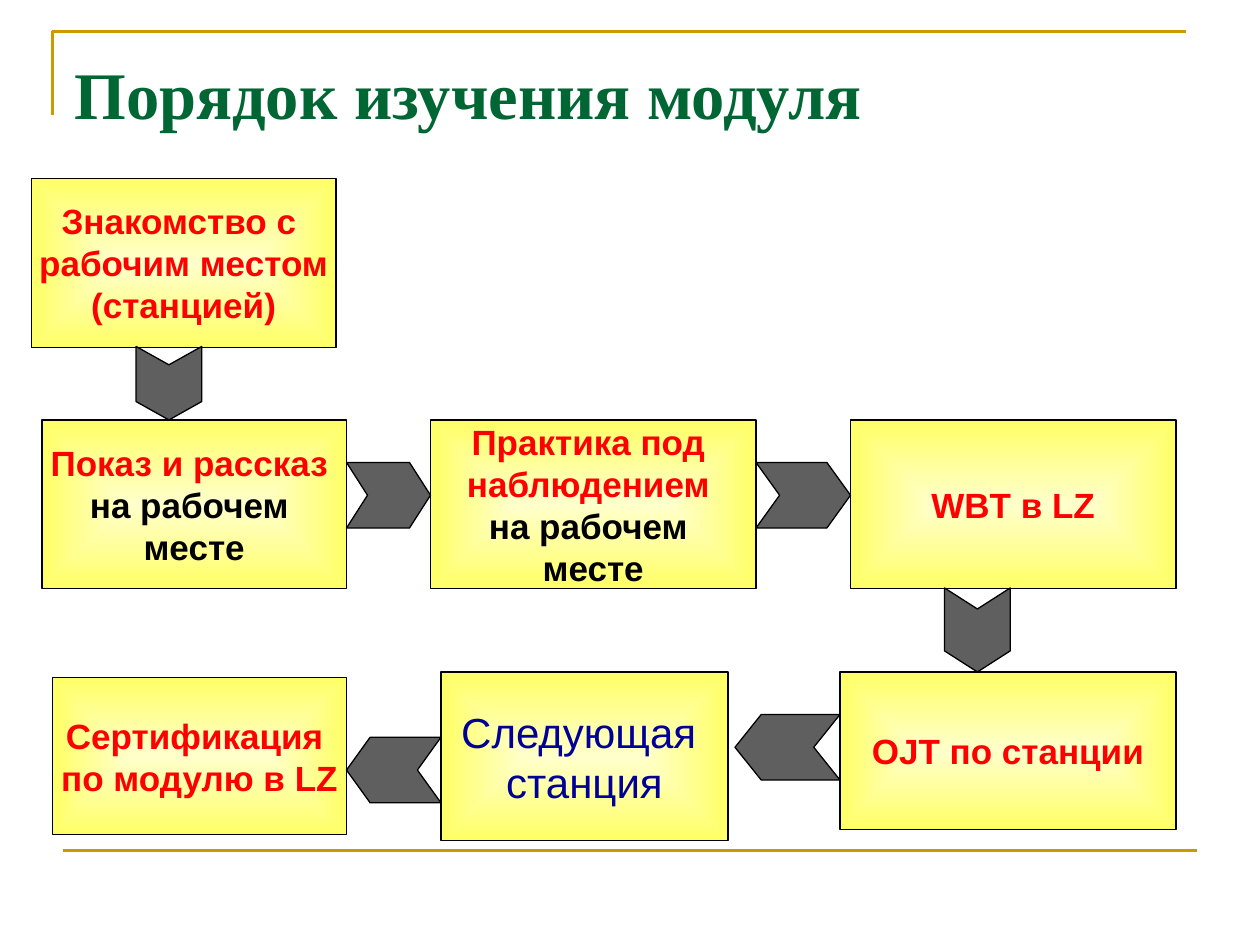
from lxml import etree
from pptx import Presentation
from pptx.dml.color import RGBColor
from pptx.enum import shapes, text
from pptx.oxml.ns import qn
from pptx.util import Pt

THEME = {
    "gold": RGBColor.from_string("CC9900"),
    "green": RGBColor.from_string("006633"),
    "red": RGBColor.from_string("FF0000"),
    "navy": RGBColor.from_string("000099"),
    "black": RGBColor.from_string("000000"),
    "grey": RGBColor.from_string("5F5F5F"),
    "core": RGBColor.from_string("FFFFCC"),
    "edge": RGBColor.from_string("FFFF66"),
    "head": 38, "step": 20, "next": 24,
    "serif": "Times New Roman", "sans": "Arial",
}


def style(font, name, size, color, bold):
    for key, val in {"name": name, "size": Pt(size), "bold": bold}.items():
        setattr(font, key, val)
    font.color.rgb = color


def add(kind, left, top, width, height):
    """Add a preset shape with a thin black outline and no shadow."""
    shape = slide.shapes.add_shape(kind, Pt(left), Pt(top), Pt(width), Pt(height))
    shape.shadow.inherit = False
    shape.line.color.rgb = THEME["black"]
    shape.line.width = Pt(0.75)
    return shape


deck = Presentation()
deck.slide_width, deck.slide_height = Pt(720), Pt(540)
slide = deck.slides.add_slide(deck.slide_layouts[5])

# Gold rules around the page
pen = slide.shapes.build_freeform(Pt(30), Pt(66))
pen.add_line_segments([(Pt(30), Pt(18)), (Pt(678), Pt(18))], close=False)
frame = pen.convert_to_shape()
frame.fill.background()
frame.shadow.inherit = False
rule = slide.shapes.add_connector(
    shapes.MSO_CONNECTOR.STRAIGHT, Pt(36), Pt(486), Pt(684), Pt(486))
etree.SubElement(rule._element.spPr, qn("a:effectLst"))
for item in (frame, rule):
    item.line.color.rgb = THEME["gold"]
    item.line.width = Pt(1.5)

# Title
title = slide.shapes.title
for key, val in {"left": 36, "top": 21.6, "width": 648, "height": 90}.items():
    setattr(title, key, Pt(val))
body = title.text_frame
body.text = "Порядок изучения модуля"
body.vertical_anchor = text.MSO_ANCHOR.TOP
body.margin_left, body.margin_top = Pt(6.5), Pt(8.5)
body.paragraphs[0].alignment = text.PP_ALIGN.LEFT
style(body.paragraphs[0].runs[0].font, THEME["serif"], THEME["head"],
      THEME["green"], True)

# Steps: left, top, width, height, lines of (text, colour)
STEPS = [
    (18, 102, 174, 96.5, [("Знакомство с ", "red"), ("рабочим местом", "red"),
                          ("(станцией)", "red")]),
    (24, 240, 174, 96.5, [("Показ и рассказ ", "red"), ("на рабочем ", "black"),
                          ("месте", "black")]),
    (246, 240, 186, 96.5, [("Практика под ", "red"), ("наблюдением ", "red"),
                           ("на рабочем ", "black"), ("месте", "black")]),
    (486, 240, 186, 96.5, [("WBT в LZ", "red")]),
    (480, 384, 192, 90, [("OJT по станции", "red")]),
    (252, 384, 164, 96.5, [("Следующая ", "navy"), ("станция", "navy")]),
    (30, 387, 168, 90, [("Сертификация ", "red"), ("по модулю в LZ", "red")]),
]
for left, top, width, height, lines in STEPS:
    box = add(shapes.MSO_SHAPE.RECTANGLE, left, top, width, height)
    box.fill.gradient()
    for stop, tint in zip(box.fill.gradient_stops, ("core", "edge")):
        stop.color.rgb = THEME[tint]
    grad = box._element.spPr.find(qn("a:gradFill"))
    grad.remove(grad.find(qn("a:lin")))
    glow = etree.SubElement(grad, qn("a:path"), {"path": "rect"})
    etree.SubElement(glow, qn("a:fillToRect"), dict.fromkeys("ltrb", "50000"))

    body = box.text_frame
    body.word_wrap = False
    body.vertical_anchor = text.MSO_ANCHOR.MIDDLE
    for side in ("left", "right"):
        setattr(body, f"margin_{side}", Pt(6.5))
    for row, (words, color) in enumerate(lines):
        para = body.add_paragraph() if row else body.paragraphs[0]
        para.alignment = text.PP_ALIGN.CENTER
        run = para.add_run()
        run.text = words
        plain = color == "navy"
        style(run.font, THEME["sans"], THEME["next" if plain else "step"],
              THEME[color], not plain)

# Arrows: centre x, centre y, length, turn
BREADTH = 37.5
ARROWS = [
    (96.5, 219, 42, 90),
    (222, 283, 48, 0),
    (459, 283, 54, 0),
    (558.5, 360, 48, 90),
    (450, 427, 60, 180),
    (225, 440, 54, 180),
]
for mid_x, mid_y, length, turn in ARROWS:
    arrow = add(shapes.MSO_SHAPE.CHEVRON, mid_x - length / 2,
                mid_y - BREADTH / 2, length, BREADTH)
    arrow.adjustments[0] = 0.25 * length / BREADTH
    arrow.rotation = turn
    arrow.fill.solid()
    arrow.fill.fore_color.rgb = THEME["grey"]

deck.save("out.pptx")
